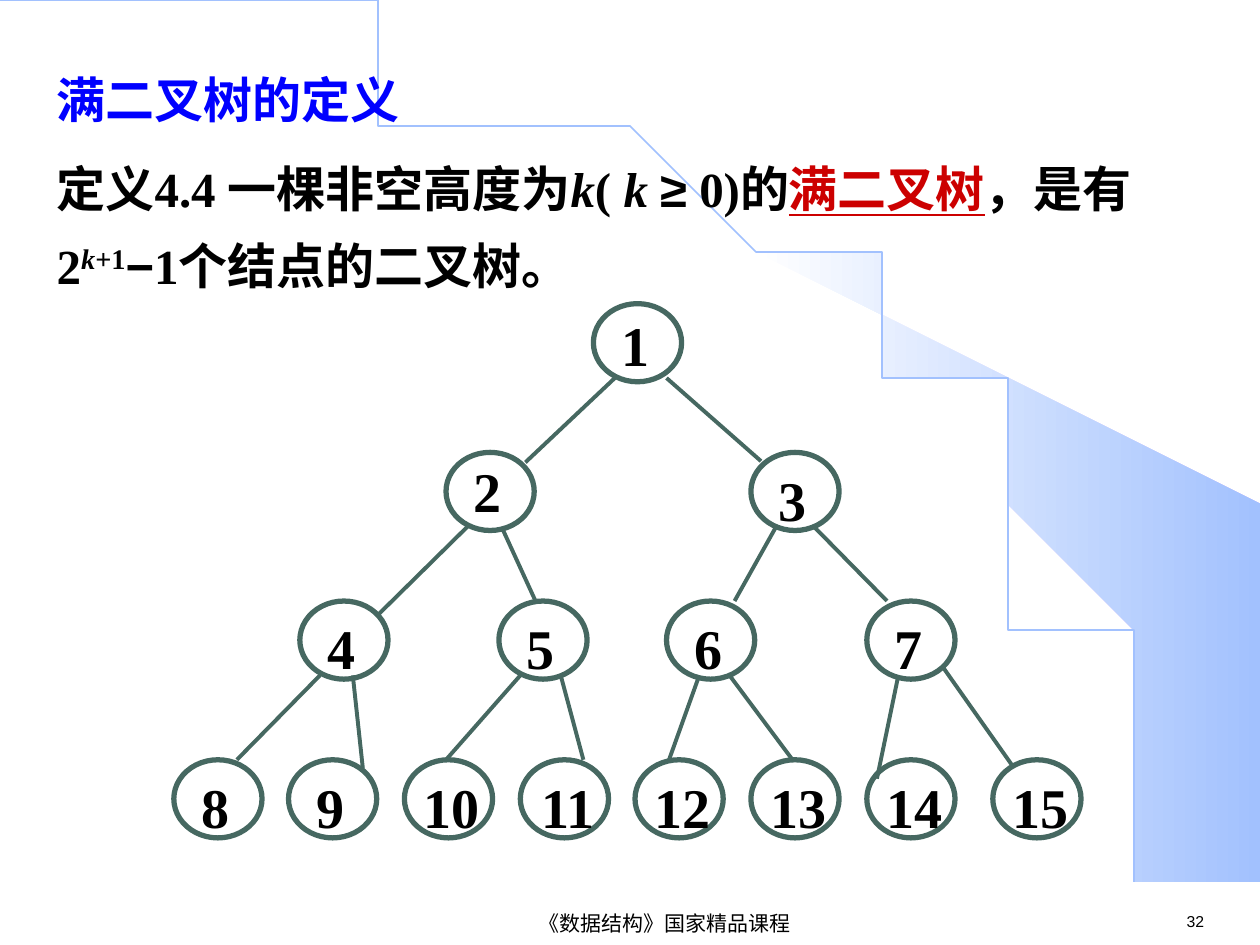
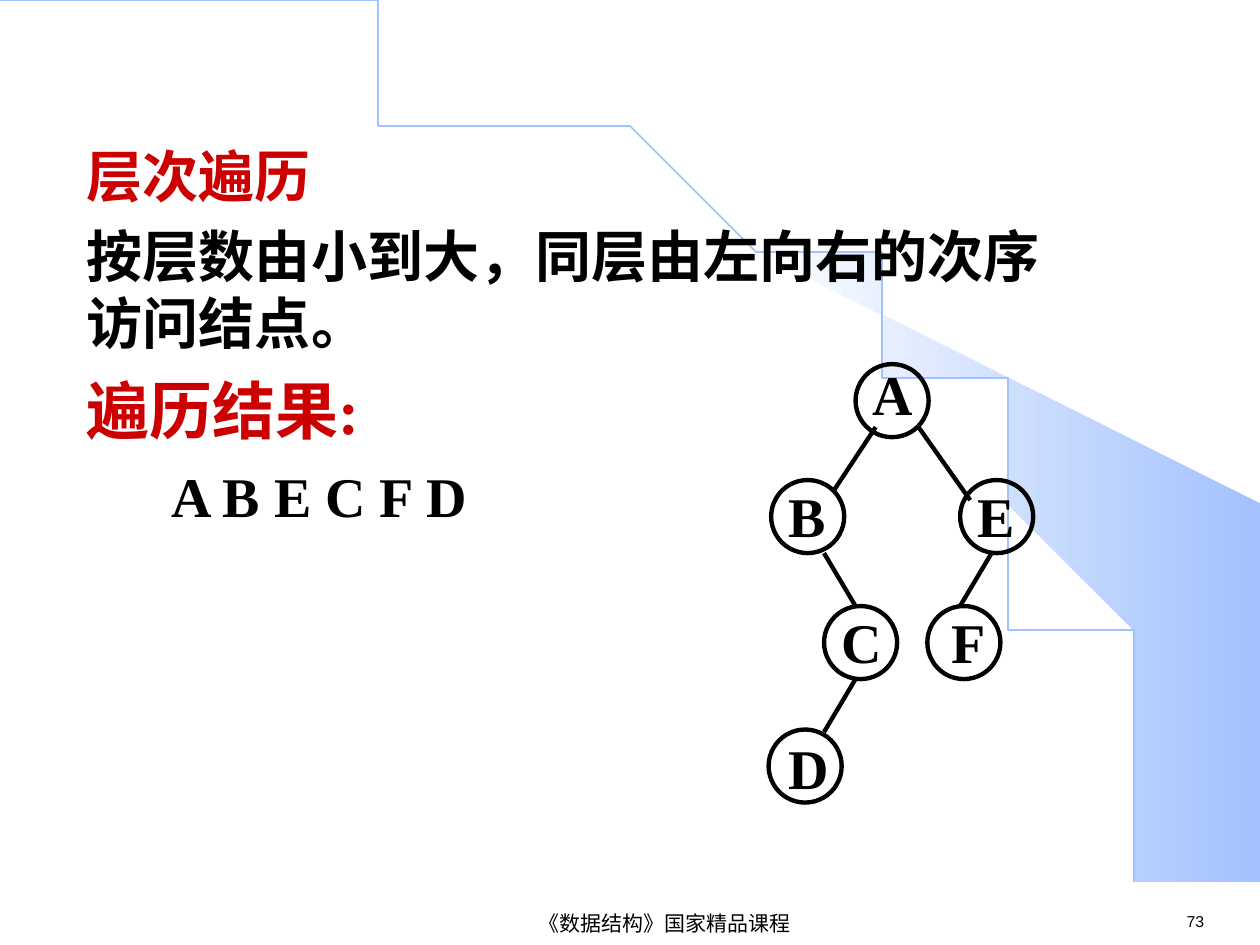
from dataclasses import dataclass

from lxml import etree
from pptx import Presentation
from pptx.dml.color import RGBColor
from pptx.enum import shapes, text
from pptx.oxml.ns import qn
from pptx.util import Inches, Pt


@dataclass(frozen=True)
class Theme:
    black = RGBColor(0x00, 0x00, 0x00)
    white = RGBColor(0xFF, 0xFF, 0xFF)
    blue = RGBColor(0x00, 0x00, 0xFF)
    red = RGBColor(0xCC, 0x00, 0x00)
    sky = RGBColor(0xA2, 0xC1, 0xFE)
    green = RGBColor(0x46, 0x68, 0x61)
    serif = "Times New Roman"
    sans = "Arial"
    number_size = Pt(9)
    footer_size = Pt(12)
    definition_size = Pt(28)
    large_size = Pt(32)
    result_size = Pt(36)


THEME = Theme()
HEADING = {"name": THEME.serif, "size": THEME.large_size, "bold": True, "color": THEME.black}
DEFINITION = {**HEADING, "size": THEME.definition_size}
SMALL_PRINT = {"name": THEME.sans, "size": THEME.footer_size, "color": THEME.black}

BEAM = [(9.2, 7.48), (9.99, 7.49), (9.99, 4.23), (5.89, 1.73), (6.24, 1.99), (6.53, 2.22),
        (6.85, 2.5), (7.16, 2.8), (7.62, 3.3), (8.03, 3.84), (8.32, 4.31), (8.58, 4.79),
        (8.78, 5.28), (8.93, 5.72), (9.03, 6.09), (9.13, 6.56), (9.17, 6.96)]
ARC_CONTROLS = [(0, 0), (5.08, 0), (9.2, 3.35), (9.2, 7.49)]


@dataclass(frozen=True)
class TreeStyle:
    """Look of a tree: node outline, and how its labels sit on the nodes."""
    preset: int
    size: tuple
    color: RGBColor
    node_line: float
    edge_line: float
    label_align: int
    label_widths: tuple  # for one and two characters
    label_shifts: tuple  # for one and two characters
    label_drop: float


FULL_TREE = TreeStyle(shapes.MSO_SHAPE.FLOWCHART_CONNECTOR, (0.7, 0.62), THEME.green, 3, 2.25,
                      text.PP_ALIGN.CENTER, (0.5, 0.75), (0.08, 0), 0)
LETTER_TREE = TreeStyle(shapes.MSO_SHAPE.OVAL, (0.58, 0.58), THEME.black, 2.5, 2.5,
                        text.PP_ALIGN.LEFT, (0.58, 0.58), (0.04, 0.04), -0.09)

FULL_TREE_LEVELS = [
    (2.41, [4.71]),
    (3.59, [3.54, 5.96]),
    (4.77, [2.38, 3.96, 5.29, 6.88]),
    (6.03, [1.38, 2.29, 3.21, 4.13, 5.04, 5.96, 6.88, 7.88]),
]
FULL_TREE_EDGES = [
    (4.88, 3, 4.17, 3.67), (5.29, 3, 6.04, 3.66),
    (3.71, 4.18, 2.99, 4.89), (3.98, 4.18, 4.25, 4.77),
    (6.16, 4.18, 5.83, 4.77), (6.46, 4.18, 7.04, 4.77),
    (2.54, 5.36, 1.88, 6.03), (2.8, 5.36, 2.88, 6.1),
    (4.13, 5.36, 3.54, 6.03), (4.45, 5.36, 4.63, 6.03),
    (5.55, 5.36, 5.31, 6.03), (5.79, 5.36, 6.29, 6.03),
    (7.13, 5.36, 6.96, 6.18), (7.48, 5.29, 8.03, 6.07),
]
LETTER_NODES = [("A", 6.79, 2.89), ("B", 6.12, 3.81), ("E", 7.62, 3.81),
                ("C", 6.54, 4.81), ("F", 7.36, 4.81), ("D", 6.1, 5.79)]
LETTER_EDGES = [
    (6.95, 3.39, 6.62, 3.89), (7.29, 3.39, 7.7, 3.97), (6.54, 4.39, 6.79, 4.81),
    (7.87, 4.39, 7.62, 4.81), (6.79, 5.39, 6.54, 5.81),
]


def apply_format(target, values):
    for name, value in values.items():
        if name == "color":
            target.color.rgb = value
        else:
            setattr(target, name, value)


def add_run(paragraph, content, font, superscript=False):
    run = paragraph.add_run()
    run.text = content
    apply_format(run.font, font)
    if superscript:
        run._r.get_or_add_rPr().set("baseline", "30000")


def add_text_box(slide, box, content, font, paragraph_format, anchor=text.MSO_ANCHOR.TOP):
    shape = slide.shapes.add_textbox(*map(Inches, box))
    apply_format(shape.text_frame, {"word_wrap": True, "vertical_anchor": anchor})
    paragraph = shape.text_frame.paragraphs[0]
    apply_format(paragraph, paragraph_format)
    add_run(paragraph, content, font)
    return shape


def place_placeholder(shape, box):
    left, top, width, height = map(Inches, box)
    apply_format(shape, {"left": left, "top": top, "width": width, "height": height})
    apply_format(shape.text_frame, {"word_wrap": True, "auto_size": text.MSO_AUTO_SIZE.NONE,
                                    "vertical_anchor": text.MSO_ANCHOR.TOP})
    return shape.text_frame


def set_title(slide, box, content, font, line_spacing):
    paragraph = place_placeholder(slide.shapes.title, box).paragraphs[0]
    apply_format(paragraph, {"alignment": text.PP_ALIGN.LEFT, "line_spacing": line_spacing})
    add_run(paragraph, content, font)


def set_body(slide, box, paragraphs):
    """Fill the body from (indent in inches, paragraph format, runs) triples."""
    frame = place_placeholder(slide.placeholders[1], box)
    for index, (indent, paragraph_format, runs) in enumerate(paragraphs):
        paragraph = frame.add_paragraph() if index else frame.paragraphs[0]
        properties = paragraph._p.get_or_add_pPr()
        properties.set("marL", str(Inches(indent)))
        properties.set("indent", "0")
        etree.SubElement(properties, qn("a:buNone"))
        apply_format(paragraph, {"space_before": Pt(0), **paragraph_format})
        for run in runs:
            add_run(paragraph, *run)


def add_outline(slide, points, close):
    builder = slide.shapes.build_freeform(*points[0], scale=Inches(1))
    builder.add_line_segments(points[1:], close=close)
    shape = builder.convert_to_shape()
    shape.shadow.inherit = False
    return shape


def curve_points(controls, steps=60):
    """Points along a cubic Bezier curve."""
    points = []
    for step in range(steps + 1):
        t = step / steps
        weights = ((1 - t) ** 3, 3 * t * (1 - t) ** 2, 3 * t ** 2 * (1 - t), t ** 3)
        points.append(tuple(sum(w * point[axis] for w, point in zip(weights, controls))
                            for axis in (0, 1)))
    return points


def add_backdrop(presentation, slide):
    """Draw the beam, arc and footer, then move them to the slide master."""
    beam = add_outline(slide, BEAM, close=True)
    beam.line.fill.background()
    beam.fill.gradient()
    beam.fill.gradient_angle = 0
    for stop, color in zip(beam.fill.gradient_stops, (THEME.white, THEME.sky)):
        stop.color.rgb = color
    for stop, position in zip(beam.fill.gradient_stops, (0, 1)):
        stop.position = position

    arc = add_outline(slide, curve_points(ARC_CONTROLS), close=False)
    arc.fill.background()
    apply_format(arc.line, {"color": THEME.sky, "width": Pt(1)})

    footer = add_text_box(slide, (2.4, 7.21, 5.75, 0.24), "《数据结构》国家精品课程", SMALL_PRINT,
                          {"alignment": text.PP_ALIGN.CENTER}, text.MSO_ANCHOR.MIDDLE)
    master_tree = presentation.slide_master.shapes.element
    for shape_id, shape in enumerate((beam, arc, footer), start=100):
        shape.element.nvSpPr.cNvPr.set("id", str(shape_id))
        master_tree.append(shape.element)


def add_page_number(slide, number):
    add_text_box(slide, (9.32, 7.19, 0.77, 0.25), str(number),
                 {**SMALL_PRINT, "size": THEME.number_size}, {})


def add_node(slide, style, label, left, top, nudge=(0, 0)):
    node = slide.shapes.add_shape(style.preset, *map(Inches, (left, top, *style.size)))
    node.shadow.inherit = False
    node.fill.background()
    apply_format(node.line, {"color": style.color, "width": Pt(style.node_line)})
    kind = len(label) - 1
    box = (left + style.label_shifts[kind] + nudge[0], top + style.label_drop + nudge[1],
           style.label_widths[kind], 0.69)
    add_text_box(slide, box, label, HEADING,
                 {"alignment": style.label_align, "line_spacing": 1.1})


def add_edge(slide, style, ends):
    edge = slide.shapes.add_connector(shapes.MSO_CONNECTOR.STRAIGHT, *map(Inches, ends))
    apply_format(edge.line, {"color": style.color, "width": Pt(style.edge_line)})
    etree.SubElement(edge.element.spPr, qn("a:effectLst"))


def add_tree(slide, style, nodes, edges, nudges):
    for label, left, top in nodes:
        add_node(slide, style, label, left, top, nudges.get(label, (0, 0)))
    for ends in edges:
        add_edge(slide, style, ends)


def fill_definition_slide(slide):
    italic = {**DEFINITION, "italic": True}
    sans = {**DEFINITION, "name": THEME.sans}
    term = {**DEFINITION, "color": THEME.red, "underline": True}
    set_title(slide, (0.35, 0.36, 9.29, 0.71), "满二叉树的定义",
              {**DEFINITION, "color": THEME.blue}, 1.3)
    set_body(slide, (0.35, 1.07, 9.29, 1.42), [(0, {"line_spacing": 1.3}, [
        ("定义4.4 一棵非空高度为", DEFINITION), ("k", italic), ("( ", DEFINITION),
        ("k ", italic), ("≥", sans), (" 0)的", DEFINITION), ("满二叉树", term),
        ("，是有2", DEFINITION), ("k", italic, True), ("+1", DEFINITION, True),
        ("−", sans), ("1个结点的二叉树。", DEFINITION)])])
    places = [(left, top) for top, lefts in FULL_TREE_LEVELS for left in lefts]
    nodes = [(str(number), *place) for number, place in enumerate(places, start=1)]
    add_tree(slide, FULL_TREE, nodes, FULL_TREE_EDGES, {"1": (0, -0.05), "2": (0, -0.07)})
    add_page_number(slide, 32)


def fill_traversal_slide(slide):
    red = {**HEADING, "color": THEME.red}
    set_title(slide, (0.59, 1.07, 7.88, 0.64), "层次遍历", red, 1.0)
    set_body(slide, (0.59, 1.71, 7.88, 4.87), [
        (0, {}, [("按层数由小到大，同层由左向右的次序访问结点。", HEADING)]),
        (0, {"space_before": Pt(9)}, [("遍历结果:", {**red, "size": THEME.result_size})]),
        (0.67, {"space_before": Pt(8)}, [("A B E C F D", HEADING)]),
    ])
    add_tree(slide, LETTER_TREE, LETTER_NODES, LETTER_EDGES,
             {"A": (0, -0.05), "D": (0.02, 0.02), "F": (0.05, 0)})
    add_page_number(slide, 73)


def main():
    presentation = Presentation()
    apply_format(presentation, {"slide_width": Inches(10), "slide_height": Inches(7.5)})
    layout = presentation.slide_layouts[1]
    definition_slide = presentation.slides.add_slide(layout)
    add_backdrop(presentation, definition_slide)
    fill_definition_slide(definition_slide)
    fill_traversal_slide(presentation.slides.add_slide(layout))
    presentation.save("out.pptx")


if __name__ == "__main__":
    main()
